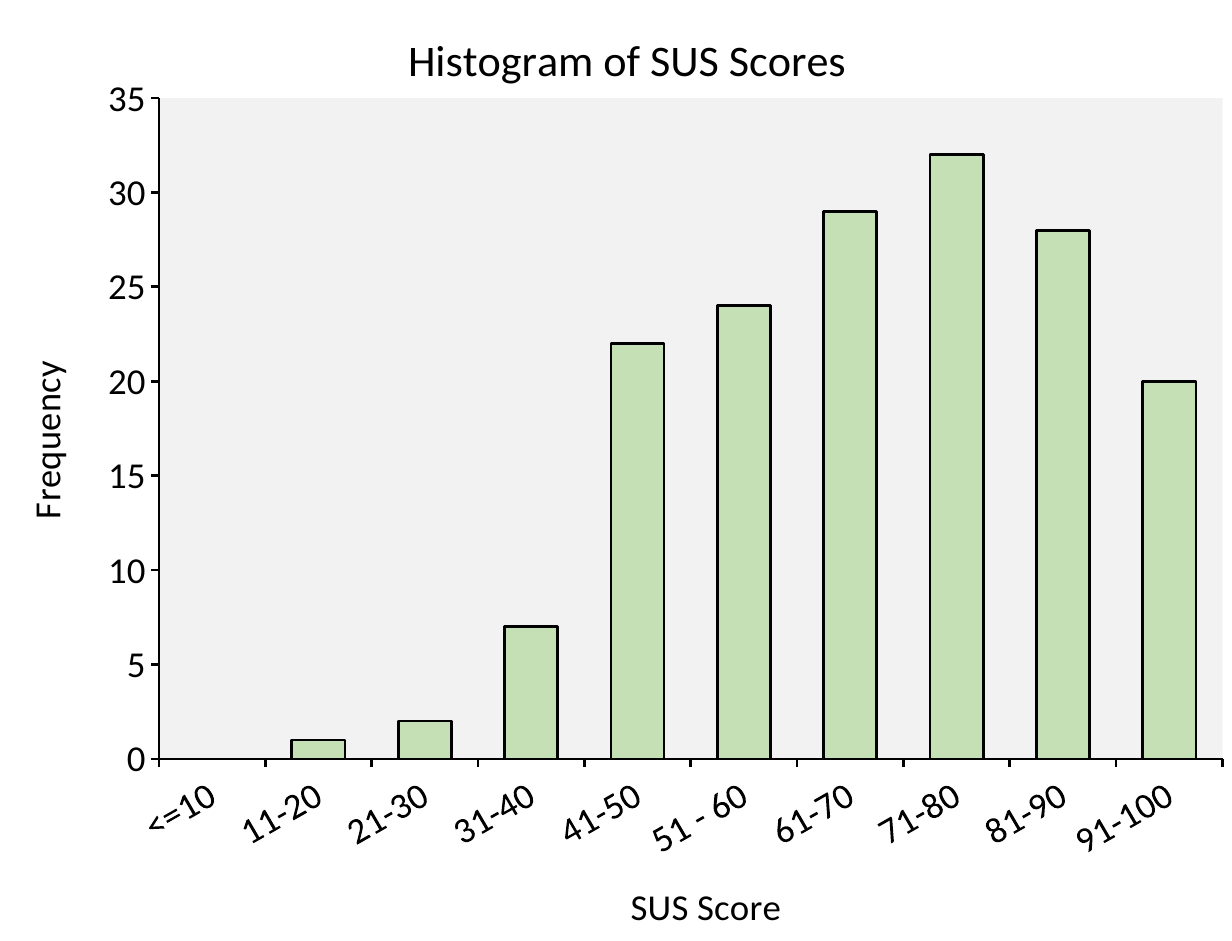
from lxml import etree
from pptx import Presentation
from pptx.chart.data import CategoryChartData
from pptx.dml.color import RGBColor
from pptx.enum.chart import XL_CHART_TYPE as CT, XL_TICK_LABEL_POSITION as TLP, XL_TICK_MARK as TM
from pptx.oxml import parse_xml
from pptx.oxml.ns import nsdecls, qn
from pptx.util import Pt

PX = 9144  # 100 px to the inch
W, H = 930, 710
COLORS = {"text": "000000", "line": "000000", "plot": "F2F2F2", "bar": "C5E0B4"}
FREQUENCIES = {
    "<=10": 0, "11-20": 1, "21-30": 2, "31-40": 7, "41-50": 22,
    "51 - 60": 24, "61-70": 29, "71-80": 32, "81-90": 28, "91-100": 20,
}


def manual_layout(x, y, w=None, h=None):
    """Return a c:layout placed in px; a sized one describes the inner plot area."""
    values = {"xMode": "edge", "yMode": "edge", "x": x / W, "y": y / H}
    if w:
        values = {"layoutTarget": "inner", **values, "w": w / W, "h": h / H}
    layout = parse_xml(f"<c:layout {nsdecls('c')}><c:manualLayout/></c:layout>")
    for name, value in values.items():
        val = value if isinstance(value, str) else f"{value:.4f}"
        etree.SubElement(layout[0], qn(f"c:{name}")).set("val", val)
    return layout


def set_title(owner, text, size, x, y):
    title = owner.chart_title if hasattr(owner, "chart_title") else owner.axis_title
    title.text_frame.text = text
    font = title.text_frame.paragraphs[0].runs[0].font
    for name, value in {"size": Pt(size), "bold": False, "name": "Calibri"}.items():
        setattr(font, name, value)
    font.color.rgb = RGBColor.from_string(COLORS["text"])
    el = title._element
    for old in el.findall(qn("c:layout")):
        el.remove(old)
    el.find(qn("c:tx")).addnext(manual_layout(x, y))


prs = Presentation()
prs.slide_width, prs.slide_height = W * PX, H * PX
s = prs.slides.add_slide(prs.slide_layouts[6])

data = CategoryChartData()
data.categories = list(FREQUENCIES)
data.add_series("Series 1", list(FREQUENCIES.values()))
chart = s.shapes.add_chart(CT.COLUMN_CLUSTERED, 0, 0, W * PX, H * PX, data).chart
chart.has_legend = False
chart.font.name, chart.font.size = "Calibri", Pt(20)
chart.font.color.rgb = RGBColor.from_string(COLORS["text"])

cat_axis, val_axis = chart.category_axis, chart.value_axis
set_title(chart, "Histogram of SUS Scores", 24, 302, 17)
set_title(cat_axis, "SUS Score", 20, 471, 668)
set_title(val_axis, "Frequency", 20, 10, 272)
val_axis.axis_title.text_frame._txBody.bodyPr.set("rot", "-5400000")

for axis in (cat_axis, val_axis):
    axis.has_major_gridlines = False
    axis.major_tick_mark, axis.minor_tick_mark = TM.OUTSIDE, TM.NONE
    axis.format.line.width = Pt(1.5)
    axis.format.line.color.rgb = RGBColor.from_string(COLORS["line"])
    axis.tick_labels.font.size = Pt(20)
cat_axis.tick_label_position = TLP.LOW
cat_axis._element.find(qn("c:txPr")).find(qn("a:bodyPr")).set("rot", "-1800000")
for name, value in {"minimum_scale": 0, "maximum_scale": 35, "major_unit": 5}.items():
    setattr(val_axis, name, value)

plot = chart.plots[0]
plot.gap_width, plot.vary_by_categories = 100, False
bars = plot.series[0].format
bars.fill.solid()
bars.fill.fore_color.rgb = RGBColor.from_string(COLORS["bar"])
bars.line.width = Pt(1.5)
bars.line.color.rgb = RGBColor.from_string(COLORS["line"])

plot_area = chart._chartSpace.chart.plotArea
for old in plot_area.findall(qn("c:layout")):
    plot_area.remove(old)
plot_area.insert(0, manual_layout(120, 75, 803, 505))
plot_area.append(parse_xml(
    f"<c:spPr {nsdecls('c', 'a')}><a:solidFill>"
    f"<a:srgbClr val=\"{COLORS['plot']}\"/></a:solidFill></c:spPr>"))

prs.save("out.pptx")
